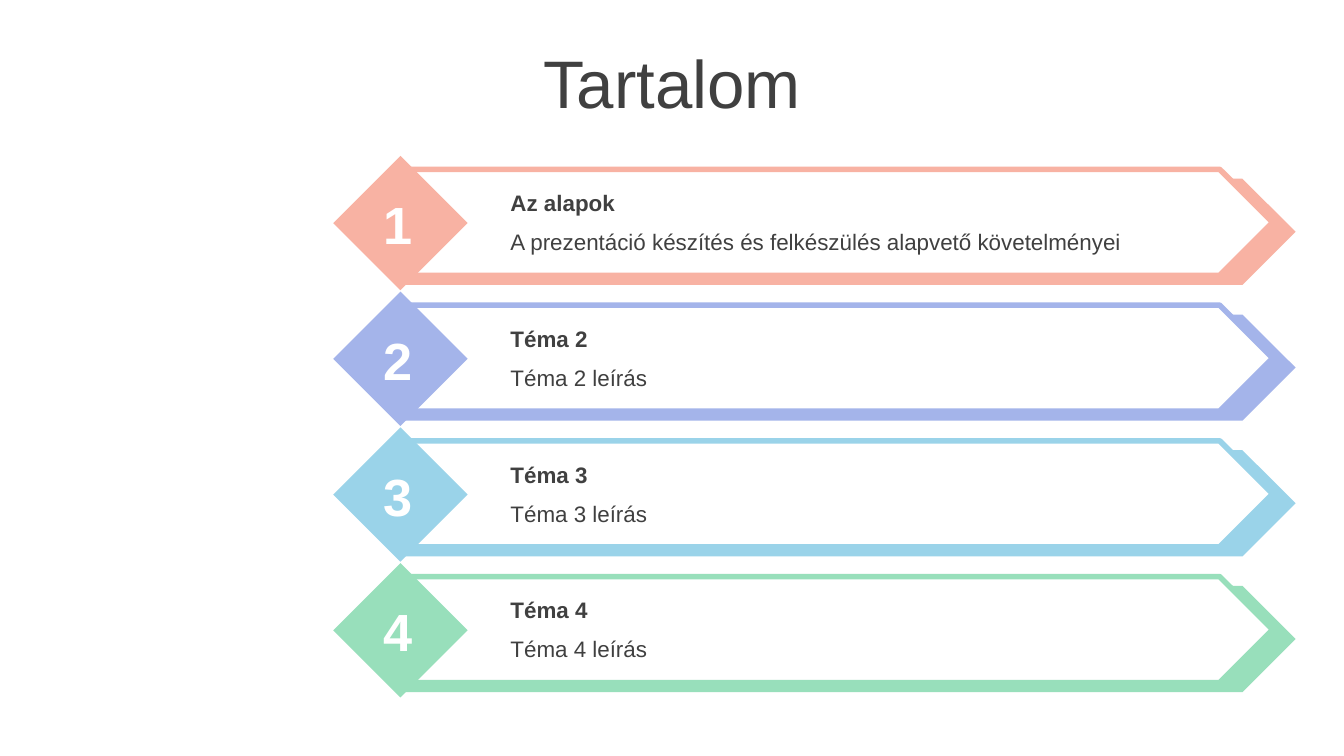
from pptx import Presentation
from pptx.dml.color import RGBColor
from pptx.enum.shapes import MSO_SHAPE
from pptx.enum.text import MSO_ANCHOR, PP_ALIGN
from pptx.util import Inches, Pt

WHITE = RGBColor(0xFF, 0xFF, 0xFF)
DARK = RGBColor(0x40, 0x40, 0x40)
CORAL = RGBColor(0xF8, 0xB2, 0xA3)
LAVENDER = RGBColor(0xA4, 0xB4, 0xEA)
SKY = RGBColor(0x9A, 0xD3, 0xE9)
MINT = RGBColor(0x98, 0xDF, 0xBB)

TOPICS = [
    ("Az alapok", "A prezentáció készítés és felkészülés alapvető követelményei", CORAL),
    ("Téma 2", "Téma 2 leírás", LAVENDER),
    ("Téma 3", "Téma 3 leírás", SKY),
    ("Téma 4", "Téma 4 leírás", MINT),
]
ROWS_LEFT, ROWS_TOP, ROW_PITCH = 2.48, 1.16, 1.01


def add_text(page, text, left, top, width, height, size=12, color=DARK,
             bold=False, align=PP_ALIGN.LEFT, anchor=MSO_ANCHOR.TOP):
    box = page.shapes.add_textbox(Inches(left), Inches(top), Inches(width), Inches(height))
    frame = box.text_frame
    frame.word_wrap = True
    frame.vertical_anchor = anchor
    para = frame.paragraphs[0]
    para.alignment = align
    span = para.add_run()
    span.text = text
    span.font.name = "Arial"
    span.font.size = Pt(size)
    span.font.bold = bold
    span.font.color.rgb = color


def add_block(page, kind, left, top, width, height, fill, line=None):
    shape = page.shapes.add_shape(kind, Inches(left), Inches(top), Inches(width), Inches(height))
    shape.shadow.inherit = False
    shape.fill.solid()
    shape.fill.fore_color.rgb = fill
    if line is None:
        shape.line.fill.background()
    else:
        shape.line.color.rgb = line
        shape.line.width = Pt(3)


def add_topic(page, left, top, number, heading, detail, color):
    # Coloured arrow behind, outlined arrow in front, diamond on the left
    add_block(page, MSO_SHAPE.PENTAGON, left + 0.52, top + 0.17, 6.64, 0.79, color)
    add_block(page, MSO_SHAPE.PENTAGON, left + 0.52, top + 0.1, 6.47, 0.79, WHITE, line=color)
    add_block(page, MSO_SHAPE.DIAMOND, left, top, 1, 1, color)
    # Number and texts
    add_text(page, str(number), left + 0.26, top + 0.22, 0.44, 0.57, size=28, color=WHITE,
             bold=True, align=PP_ALIGN.CENTER, anchor=MSO_ANCHOR.MIDDLE)
    add_text(page, heading, left + 1.22, top + 0.2, 5.2, 0.3, bold=True)
    add_text(page, detail, left + 1.22, top + 0.49, 5.2, 0.3)


def main():
    # Widescreen page, 16:9
    deck = Presentation()
    deck.slide_width = Inches(10)
    deck.slide_height = Inches(10 * 9 / 16)
    page = deck.slides.add_slide(deck.slide_layouts[6])

    # Title
    add_text(page, "Tartalom", 0, 0.29, 10, 0.63, size=36,
             align=PP_ALIGN.CENTER, anchor=MSO_ANCHOR.MIDDLE)

    # Topic rows
    for index, (heading, detail, color) in enumerate(TOPICS):
        add_topic(page, ROWS_LEFT, ROWS_TOP + index * ROW_PITCH,
                  index + 1, heading, detail, color)

    deck.save("out.pptx")


if __name__ == "__main__":
    main()
